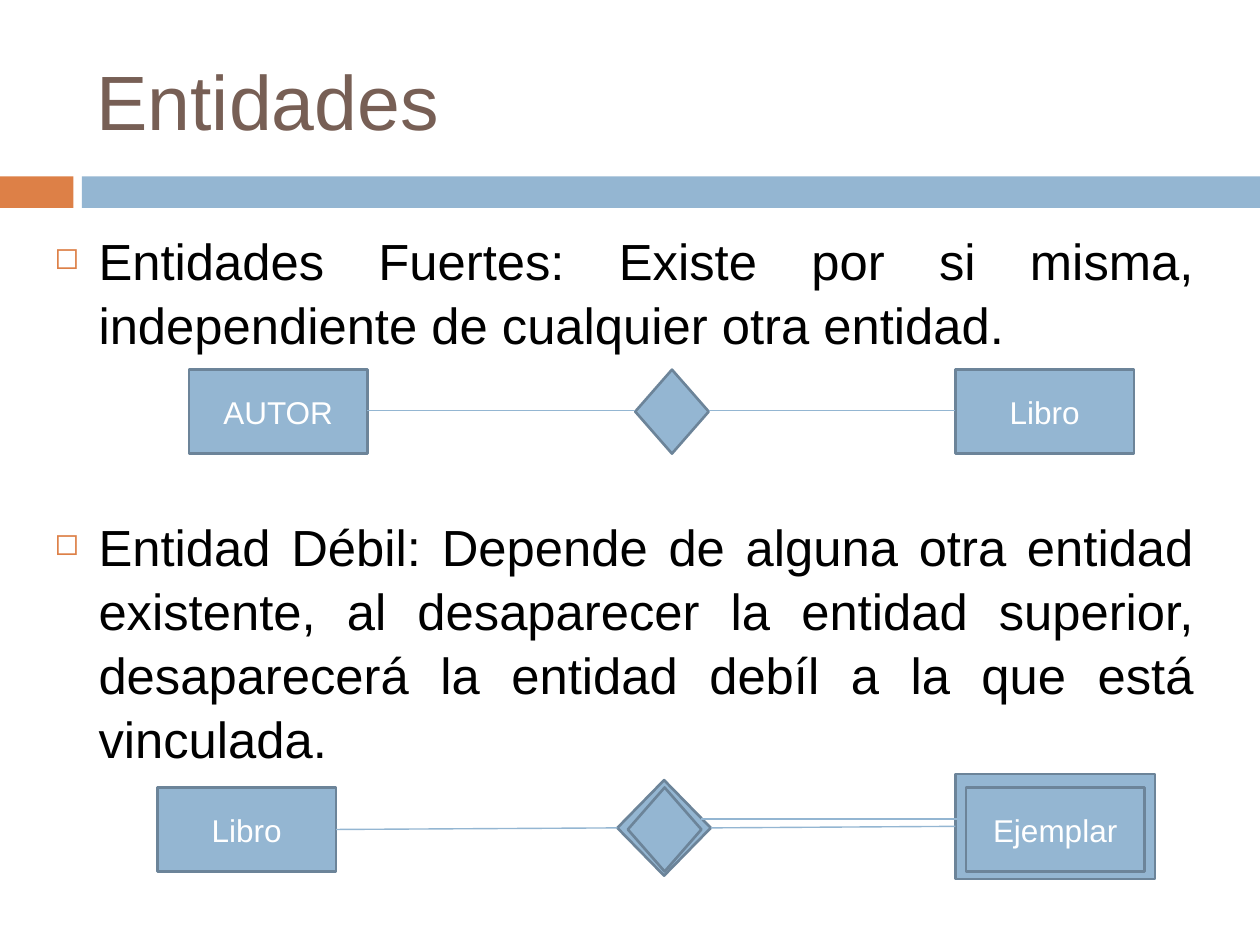
import pptx
import pptx.util
import pptx.dml.color
import pptx.enum.shapes
import pptx.enum.text
import pptx.oxml.ns
from lxml import etree

RGB = pptx.dml.color.RGBColor
BLUE = RGB(0x94, 0xB6, 0xD2)
EDGE = RGB(0x6C, 0x84, 0x99)
ORANGE = RGB(0xDD, 0x80, 0x47)
BROWN = RGB(0x77, 0x5F, 0x55)
BLACK = RGB(0, 0, 0)
WHITE = RGB(255, 255, 255)
SHAPE = pptx.enum.shapes.MSO_SHAPE
ALIGN = pptx.enum.text.PP_ALIGN
MIDDLE = pptx.enum.text.MSO_ANCHOR.MIDDLE
Pt = pptx.util.Pt
qn = pptx.oxml.ns.qn

prs = pptx.Presentation()
prs.slide_width = pptx.util.Inches(10)
prs.slide_height = pptx.util.Inches(7.5)
U = prs.slide_width / 120  # grid of 120 columns by 90 rows
s = prs.slides.add_slide(prs.slide_layouts[5])


def grid(*cells):
    return [round(c * U) for c in cells]


def write(p, text, size, color, **paragraph_format):
    for name, value in paragraph_format.items():
        setattr(p, name, value)
    r = p.add_run()
    r.text = text
    for name, value in {"name": "Arial", "size": Pt(size)}.items():
        setattr(r.font, name, value)
    r.font.color.rgb = color


# Title
title = s.shapes.title
for name, value in zip(("left", "top", "width", "height"), grid(8, 3, 111, 13)):
    setattr(title, name, value)
title.text_frame.vertical_anchor = MIDDLE
write(title.text_frame.paragraphs[0], "Entidades", 44, BROWN, alignment=ALIGN.LEFT)

# Definitions, with room for the first diagram between them
tf = s.shapes.add_textbox(*grid(4, 21, 111, 63)).text_frame
tf.word_wrap = True
definitions = [
    ("Entidades Fuertes: Existe por si misma, independiente de cualquier otra entidad.", 0),
    ("Entidad Débil: Depende de alguna otra entidad existente, al desaparecer la entidad "
     "superior, desaparecerá la entidad debíl a la que está vinculada.", 90.5),
]
for i, (text, before) in enumerate(definitions):
    p = tf.add_paragraph() if i else tf.paragraphs[0]
    write(p, text, 29, BLACK, alignment=ALIGN.JUSTIFY, line_spacing=1.05, space_before=Pt(before))
    pPr = p._p.get_or_add_pPr()
    indent = pptx.util.Inches(0.35)
    pPr.set("marL", str(indent))
    pPr.set("indent", str(-indent))
    color = etree.SubElement(pPr, qn("a:buClr"))
    etree.SubElement(color, qn("a:srgbClr"), val=str(ORANGE))
    etree.SubElement(pPr, qn("a:buSzPct"), val="60000")
    etree.SubElement(pPr, qn("a:buChar"), char="◻")

# Bands, entities and relationships: kind, cells, fill, edge, label
RECT, DIAMOND = SHAPE.RECTANGLE, SHAPE.DIAMOND
ENTITY, RELATION = (17, 8), (7, 8)
STRONG, WEAK = 35.2, 75
shapes = [
    (RECT, (0, 16.8, 7, 3), ORANGE, None, ""),
    (RECT, (7.8, 16.8, 112.2, 3), BLUE, None, ""),
    (RECT, (18, STRONG, *ENTITY), BLUE, EDGE, "AUTOR"),
    (DIAMOND, (60.5, STRONG, *RELATION), BLUE, EDGE, ""),
    (RECT, (91, STRONG, *ENTITY), BLUE, EDGE, "Libro"),
    (RECT, (15, WEAK, *ENTITY), BLUE, EDGE, "Libro"),
    (DIAMOND, (58.8, 74.3, 8.9, 9.1), BLUE, EDGE, ""),
    (DIAMOND, (59.8, WEAK, *RELATION), BLUE, EDGE, ""),
    (RECT, (91, 73.7, 19, 10), BLUE, EDGE, ""),
    (RECT, (92, WEAK, *ENTITY), BLUE, EDGE, "Ejemplar"),
]
for kind, cells, fill, edge, label in shapes:
    sp = s.shapes.add_shape(kind, *grid(*cells))
    sp.shadow.inherit = False
    sp.fill.solid()
    sp.fill.fore_color.rgb = fill
    if edge is None:
        sp.line.fill.background()
    else:
        sp.line.color.rgb = edge
        sp.line.width = Pt(1.5)
    if label:
        sp.text_frame.vertical_anchor = MIDDLE
        write(sp.text_frame.paragraphs[0], label, 18, WHITE, alignment=ALIGN.CENTER)

# Links; the weak entity has a double one
links = [
    (35, 39.1, 60.5, 39.1),
    (67.5, 39.1, 91, 39.1),
    (32, 79, 58.8, 78.85),
    (91, 78.7, 67.7, 78.85),
    (66.8, 78, 91.2, 78),
]
for ends in links:
    line = s.shapes.add_connector(pptx.enum.shapes.MSO_CONNECTOR.STRAIGHT, *grid(*ends))
    line.line.color.rgb = BLUE
    line.line.width = Pt(0.79)
    etree.SubElement(line._element.spPr, qn("a:effectLst"))

prs.save("out.pptx")
